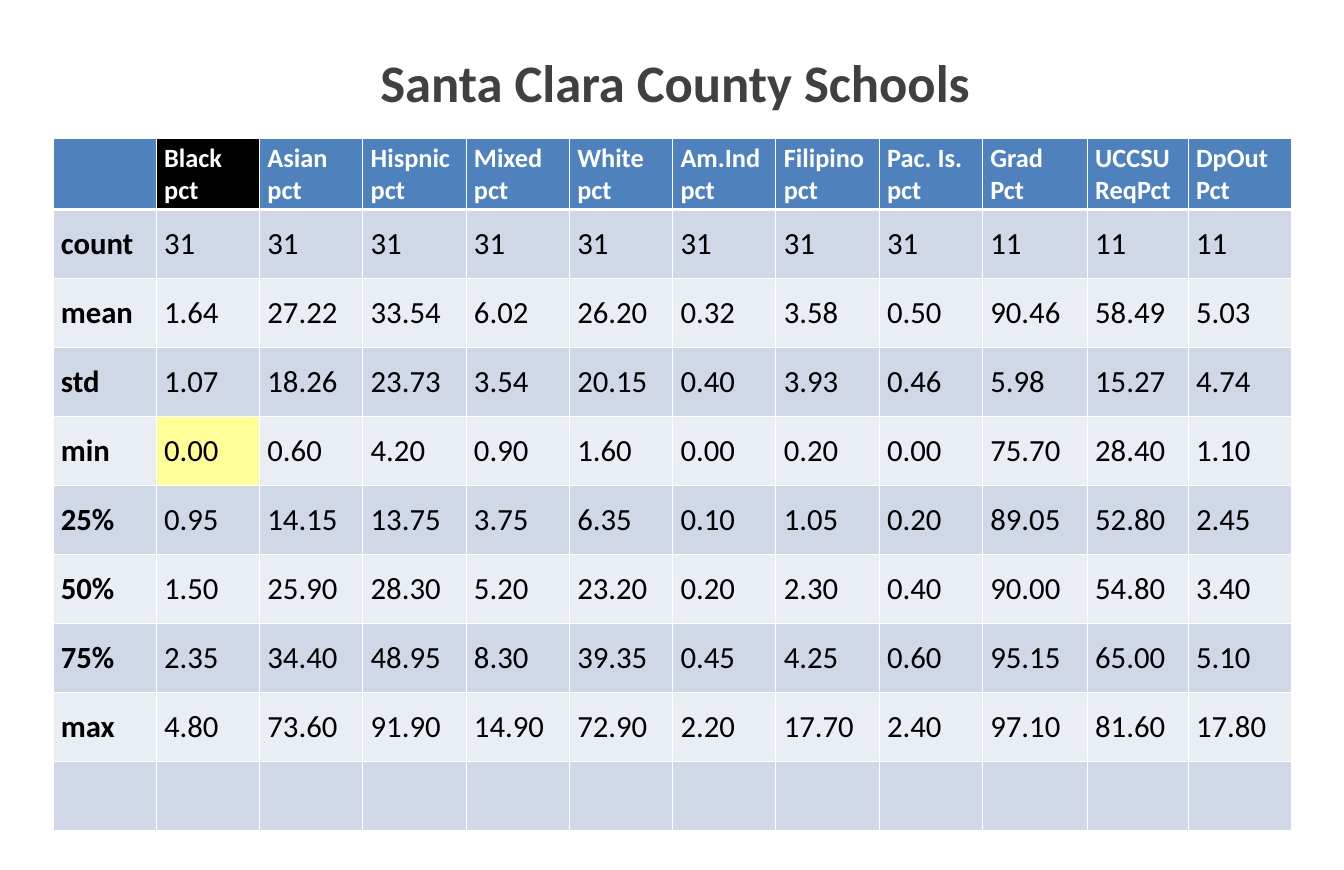
from lxml.etree import SubElement
from pptx import Presentation
from pptx.dml.color import RGBColor
from pptx.enum.text import MSO_ANCHOR as Anchor, MSO_AUTO_SIZE as AutoSize, PP_ALIGN as Align
from pptx.oxml.ns import qn
from pptx.util import Inches, Pt

TITLE_BOX = (4.71, 0.58, 7.71, 0.91)
TABLE_BOX = (0.67, 1.75, 15.67, 8.72)
COLUMN_SHARES = [1.31] * 9 + [1.33, 1.28, 1.31]
WHITE, BLACK, BLUE, YELLOW = "FFFFFF", "000000", "4F81BD", "FFFF99"
BANDS = ("E9EDF4", "D0D8E8")
HIGHLIGHTS = {(0, 1): BLACK, (4, 1): YELLOW}

HEADINGS = [
    "", "Black\npct", "Asian\npct", "Hispnic\npct", "Mixed\npct", "White\npct",
    "Am.Ind\npct", "Filipino\npct", "Pac. Is.\npct", "Grad\nPct",
    "UCCSU\nReqPct", "DpOut\nPct",
]
STATISTICS = """
count 31 31 31 31 31 31 31 31 11 11 11
mean 1.64 27.22 33.54 6.02 26.20 0.32 3.58 0.50 90.46 58.49 5.03
std 1.07 18.26 23.73 3.54 20.15 0.40 3.93 0.46 5.98 15.27 4.74
min 0.00 0.60 4.20 0.90 1.60 0.00 0.20 0.00 75.70 28.40 1.10
25% 0.95 14.15 13.75 3.75 6.35 0.10 1.05 0.20 89.05 52.80 2.45
50% 1.50 25.90 28.30 5.20 23.20 0.20 2.30 0.40 90.00 54.80 3.40
75% 2.35 34.40 48.95 8.30 39.35 0.45 4.25 0.60 95.15 65.00 5.10
max 4.80 73.60 91.90 14.90 72.90 2.20 17.70 2.40 97.10 81.60 17.80
"""


def rgb(color):
    return RGBColor.from_string(color)


def write(frame, text, size=28, color=BLACK, bold=False):
    frame.text = text
    for paragraph in frame.paragraphs:
        paragraph.alignment = Align.LEFT
        for run in paragraph.runs:
            run.font.name = "Calibri"
            run.font.size = Pt(size)
            run.font.bold = bold
            run.font.color.rgb = rgb(color)


def draw_borders(cell, **widths):
    properties = cell._tc.get_or_add_tcPr()
    for side, width in widths.items():
        border = SubElement(properties, qn(f"a:ln{side}"), w=str(Pt(width)))
        paint = SubElement(border, qn("a:solidFill"))
        SubElement(paint, qn("a:srgbClr"), val=WHITE)


def add_title(slide, box):
    title = slide.shapes.title
    title.left, title.top, title.width, title.height = map(Inches, box)
    frame = title.text_frame
    write(frame, "Santa Clara County Schools", size=48, color="404040", bold=True)
    frame.word_wrap = False
    frame.auto_size = AutoSize.SHAPE_TO_FIT_TEXT
    frame.vertical_anchor = Anchor.TOP


def add_statistics(slide, box):
    left, top, width, height = map(Inches, box)
    rows = [HEADINGS]
    rows += [line.split() for line in STATISTICS.strip().splitlines()]
    rows.append([""] * len(HEADINGS))
    table = slide.shapes.add_table(
        len(rows), len(HEADINGS), left, top, width, height).table
    for column, share in zip(table.columns, COLUMN_SHARES):
        column.width = int(width * share / sum(COLUMN_SHARES))
    for r, values in enumerate(rows):
        header = r == 0
        for c, value in enumerate(values):
            cell = table.cell(r, c)
            draw_borders(cell, L=1, R=1, T=3 if r == 1 else 1, B=3 if header else 1)
            cell.fill.solid()
            cell.fill.fore_color.rgb = rgb(
                HIGHLIGHTS.get((r, c), BLUE if header else BANDS[r % 2]))
            cell.vertical_anchor = Anchor.MIDDLE
            if value:
                write(cell.text_frame, value, size=24 if header else 28,
                      color=WHITE if header else BLACK, bold=header or c == 0)


def main():
    deck = Presentation()
    deck.slide_width, deck.slide_height = Inches(17), Inches(11)
    slide = deck.slides.add_slide(deck.slide_layouts[5])
    add_statistics(slide, TABLE_BOX)
    add_title(slide, TITLE_BOX)
    deck.save("out.pptx")


if __name__ == "__main__":
    main()
